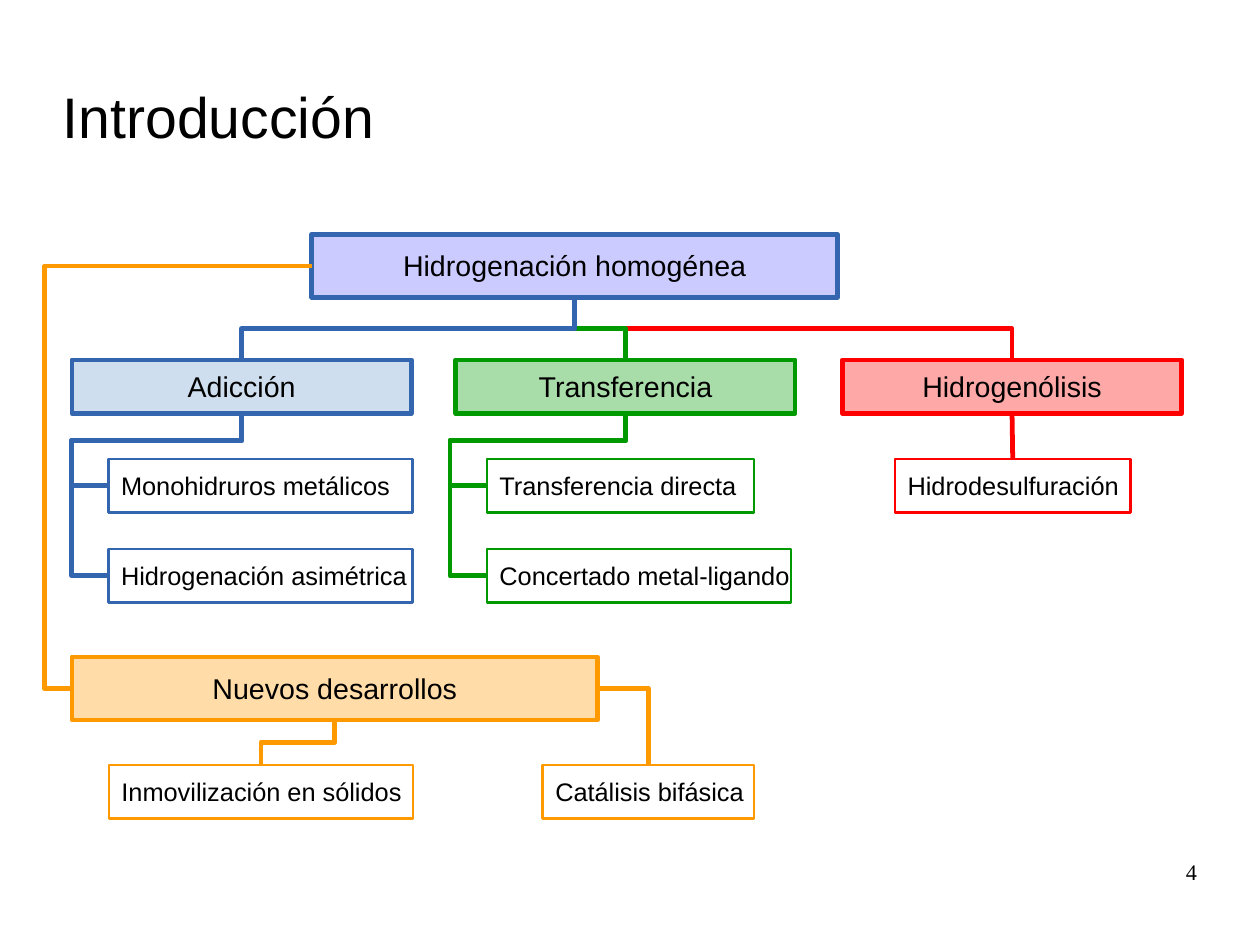
from lxml.etree import SubElement
from pptx import Presentation
from pptx.dml.color import RGBColor
from pptx.enum.shapes import MSO_CONNECTOR, MSO_SHAPE
from pptx.enum.text import MSO_ANCHOR, PP_ALIGN
from pptx.oxml.ns import qn
from pptx.util import Cm, Pt

BLUE, GREEN, RED, ORANGE = "3465AF", "009900", "FF0000", "FF9900"
TOP, LEFT, BOTTOM, RIGHT = range(4)

prs = Presentation()
prs.slide_width, prs.slide_height = Cm(28), Cm(21)
s = prs.slides.add_slide(prs.slide_layouts[6])


def box(text, x, y, w, h, size=18, font="Arial", align=PP_ALIGN.CENTER,
        anchor=MSO_ANCHOR.MIDDLE, line=None, weight=3, fill=None, alpha=34,
        insets=(0.3, 0.23, 0.3, 0.18), wrap=False):
    if line:
        sp = s.shapes.add_shape(MSO_SHAPE.RECTANGLE, Cm(x), Cm(y), Cm(w), Cm(h))
        sp.shadow.inherit = False
        sp.line.color.rgb = RGBColor.from_string(line)
        sp.line.width = Pt(weight)
    else:
        sp = s.shapes.add_textbox(Cm(x), Cm(y), Cm(w), Cm(h))
    if fill:
        sp.fill.solid()
        sp.fill.fore_color.rgb = RGBColor.from_string(fill)
        color = sp._element.spPr.find(qn("a:solidFill"))[0]
        SubElement(color, qn("a:alpha")).set("val", str(alpha * 1000))
    else:
        sp.fill.background()
    tf = sp.text_frame
    tf.word_wrap = wrap
    tf.vertical_anchor = anchor
    tf.margin_left, tf.margin_top, tf.margin_right, tf.margin_bottom = map(Cm, insets)
    p = tf.paragraphs[0]
    p.alignment = align
    p.line_spacing = 0.93
    r = p.add_run()
    r.text = text
    r.font.size = Pt(size)
    r.font.name = font
    r.font.color.rgb = RGBColor.from_string("000000")
    return sp


def link(a, a_side, b, b_side, color, bends=3, drop=None, overshoot=None):
    kind = MSO_CONNECTOR.ELBOW if bends else MSO_CONNECTOR.STRAIGHT
    cn = s.shapes.add_connector(kind, 0, 0, 0, 0)
    cn.begin_connect(a, a_side)
    cn.end_connect(b, b_side)
    cn.line.color.rgb = RGBColor.from_string(color)
    cn.line.width = Pt(3)
    spPr = cn._element.spPr
    SubElement(spPr, qn("a:effectLst"))
    if not bends:
        return
    dx, dy = cn.end_x - cn.begin_x, cn.end_y - cn.begin_y
    mid_x, mid_y = (cn.begin_x + cn.end_x) // 2, (cn.begin_y + cn.end_y) // 2
    w, h, turn, flip = abs(dx), abs(dy), 0, None
    if a_side == BOTTOM:
        w, h = h, w
        turn, flip = (270, "flipH") if dx > 0 else (90, None)
    elif a_side == LEFT:
        turn, flip = 180, "flipV"
    cn.left, cn.top, cn.width, cn.height = mid_x - w // 2, mid_y - h // 2, w, h
    xfrm = spPr.find(qn("a:xfrm"))
    for name in ("flipH", "flipV"):
        xfrm.attrib.pop(name, None)
    if turn:
        xfrm.set("rot", str(turn * 60000))
    if flip:
        xfrm.set(flip, "1")
    geom = spPr.find(qn("a:prstGeom"))
    geom.set("prst", f"bentConnector{bends}")
    adjusts = []
    if drop is not None:
        adjusts.append(Cm(drop) / w)
    if overshoot is not None:
        adjusts.append(1 + Cm(overshoot) / (h if bends == 4 else w))
    av = geom.find(qn("a:avLst"))
    for i, value in enumerate(adjusts, 1):
        gd = SubElement(av, qn("a:gd"))
        gd.set("name", f"adj{i}" if bends == 4 else "adj1")
        gd.set("fmla", f"val {round(value * 100000)}")


box("Introducción", 1.4, 1.6, 20, 2, size=36, align=PP_ALIGN.LEFT,
    insets=(0, 0.1, 0, 0), wrap=True)
root = box("Hidrogenación homogénea", 6.93, 5.21, 11.68, 1.4,
           line=BLUE, fill="9999FF", alpha=50)

branches = [
    ("Adicción", 1.6, BLUE, "729FCF",
     [("Monohidruros metálicos", 2.41, 6.76), ("Hidrogenación asimétrica", 2.41, 6.76)]),
    ("Transferencia", 10.13, GREEN, GREEN,
     [("Transferencia directa", 10.82, 5.94), ("Concertado metal-ligando", 10.82, 6.76)]),
    ("Hidrogenólisis", 18.72, RED, RED, [("Hidrodesulfuración", 19.89, 5.23)]),
]
leaf = dict(h=1.19, size=16, align=PP_ALIGN.LEFT, weight=1.5,
            insets=(0.28, 0.2, 0.28, 0.15))

for name, x, color, fill, children in reversed(branches):
    branch = box(name, x, 8, 7.54, 1.19, line=color, fill=fill)
    link(root, BOTTOM, branch, TOP, color)
    for i, (text, child_x, child_w) in enumerate(children):
        child = box(text, child_x, 10.2 + 2 * i, child_w, line=color, **leaf)
        if len(children) == 1:
            link(branch, BOTTOM, child, TOP, color, bends=0)
        else:
            link(branch, BOTTOM, child, LEFT, color, bends=4, drop=0.6, overshoot=0.82)

new = box("Nuevos desarrollos", 1.6, 14.6, 11.68, 1.4, line=ORANGE, fill=ORANGE)
solids = box("Inmovilización en sólidos", 2.42, 17, 6.76, line=ORANGE, **leaf)
biphasic = box("Catálisis bifásica", 12.06, 17, 4.7, line=ORANGE, **leaf)
link(root, LEFT, new, LEFT, ORANGE, overshoot=0.61)
link(new, BOTTOM, solids, TOP, ORANGE)
link(new, RIGHT, biphasic, TOP, ORANGE, bends=2)

box("4", 20.07, 19.13, 6.53, 1.45, size=14, font="Times New Roman",
    align=PP_ALIGN.RIGHT, anchor=MSO_ANCHOR.TOP, insets=(0, 0, 0, 0), wrap=True)

prs.save("out.pptx")
